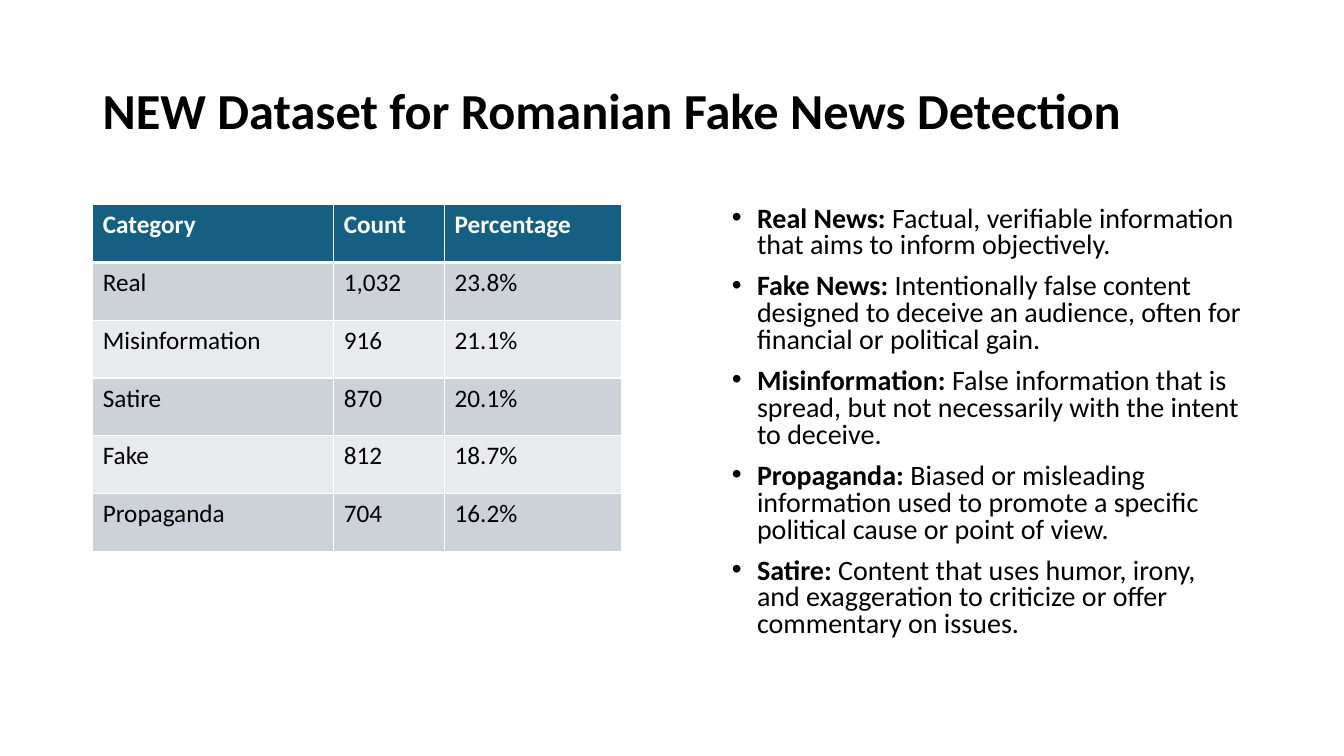
from lxml import etree
from pptx import Presentation
from pptx.dml.color import RGBColor
from pptx.enum.text import MSO_ANCHOR
from pptx.oxml.ns import qn
from pptx.util import Inches, Pt

TITLE = "NEW Dataset for Romanian Fake News Detection"
DATASET = [
    ("Category", "Count", "Percentage"),
    ("Real", "1,032", "23.8%"),
    ("Misinformation", "916", "21.1%"),
    ("Satire", "870", "20.1%"),
    ("Fake", "812", "18.7%"),
    ("Propaganda", "704", "16.2%"),
]
DEFINITIONS = [
    ("Real News:", "Factual, verifiable information that aims to inform objectively."),
    ("Fake News:", "Intentionally false content designed to deceive an audience, "
                   "often for financial or political gain."),
    ("Misinformation:", "False information that is spread, but not necessarily "
                        "with the intent to deceive."),
    ("Propaganda:", "Biased or misleading information used to promote a specific "
                    "political cause or point of view."),
    ("Satire:", "Content that uses humor, irony, and exaggeration to criticize "
                "or offer commentary on issues."),
]
COLORS = {
    "text": "000000",
    "white": "FFFFFF",
    "header": "156082",
    "odd": "CCD2D8",
    "even": "E8EAED",
}
FONT = "Calibri"
MIDDLE = MSO_ANCHOR.MIDDLE
COLUMN_WIDTHS = (2.39, 1.1, 1.76)
TABLE_HEIGHT = 3.44


def rgb(name):
    return RGBColor.from_string(COLORS[name])


def set_font(paragraph, size, color="text", bold=None):
    paragraph.font.name = FONT
    paragraph.font.size = Pt(size)
    paragraph.font.color.rgb = rgb(color)
    paragraph.font.bold = bold


def add_text_frame(slide, left, top, width, height):
    frame = slide.shapes.add_textbox(
        Inches(left), Inches(top), Inches(width), Inches(height)).text_frame
    frame.word_wrap = True
    return frame


def add_bullet(paragraph):
    properties = paragraph._p.get_or_add_pPr()
    properties.set("marL", str(Inches(0.25)))
    properties.set("indent", str(Inches(-0.25)))
    etree.SubElement(properties, qn("a:buFont"), typeface="Arial")
    etree.SubElement(properties, qn("a:buChar"), char="•")


def set_borders(cell, row):
    properties = cell._tc.get_or_add_tcPr()
    weights = {"L": 1, "R": 1, "T": 3 if row == 1 else 1, "B": 3 if row == 0 else 1}
    for position, (side, weight) in enumerate(weights.items()):
        border = etree.Element(qn(f"a:ln{side}"), w=str(Pt(weight)))
        fill = etree.SubElement(border, qn("a:solidFill"))
        etree.SubElement(fill, qn("a:srgbClr"), val=COLORS["white"])
        properties.insert(position, border)


def add_title(slide):
    frame = add_text_frame(slide, 0.92, 0.4, 11.5, 1.45)
    frame.vertical_anchor = MIDDLE
    heading = frame.paragraphs[0]
    heading.text = TITLE
    heading.line_spacing = 0.9
    set_font(heading, 36, bold=True)


def add_dataset(slide):
    table = slide.shapes.add_table(
        len(DATASET), len(COLUMN_WIDTHS), Inches(0.92), Inches(2.03),
        Inches(sum(COLUMN_WIDTHS)), Inches(TABLE_HEIGHT)).table
    for column, width in zip(table.columns, COLUMN_WIDTHS):
        column.width = Inches(width)
    for row, values in enumerate(DATASET):
        is_header = row == 0
        band = "header" if is_header else "odd" if row % 2 else "even"
        for column, value in enumerate(values):
            cell = table.cell(row, column)
            cell.text = value
            cell.fill.solid()
            cell.fill.fore_color.rgb = rgb(band)
            set_font(cell.text_frame.paragraphs[0], 18,
                     "white" if is_header else "text", is_header)
            set_borders(cell, row)


def add_definitions(slide):
    frame = add_text_frame(slide, 7.16, 2, 5.25, 4.76)
    for index, (term, meaning) in enumerate(DEFINITIONS):
        definition = frame.add_paragraph() if index else frame.paragraphs[0]
        definition.line_spacing = 0.8
        definition.space_before = Pt(10)
        add_bullet(definition)
        set_font(definition, 20)
        term_run = definition.add_run()
        term_run.text = term
        term_run.font.bold = True
        definition.add_run().text = f" {meaning}"


def main():
    deck = Presentation()
    deck.slide_width, deck.slide_height = Inches(13.33), Inches(7.5)
    slide = deck.slides.add_slide(deck.slide_layouts[6])
    add_title(slide)
    add_definitions(slide)
    add_dataset(slide)
    deck.save("out.pptx")


if __name__ == "__main__":
    main()
